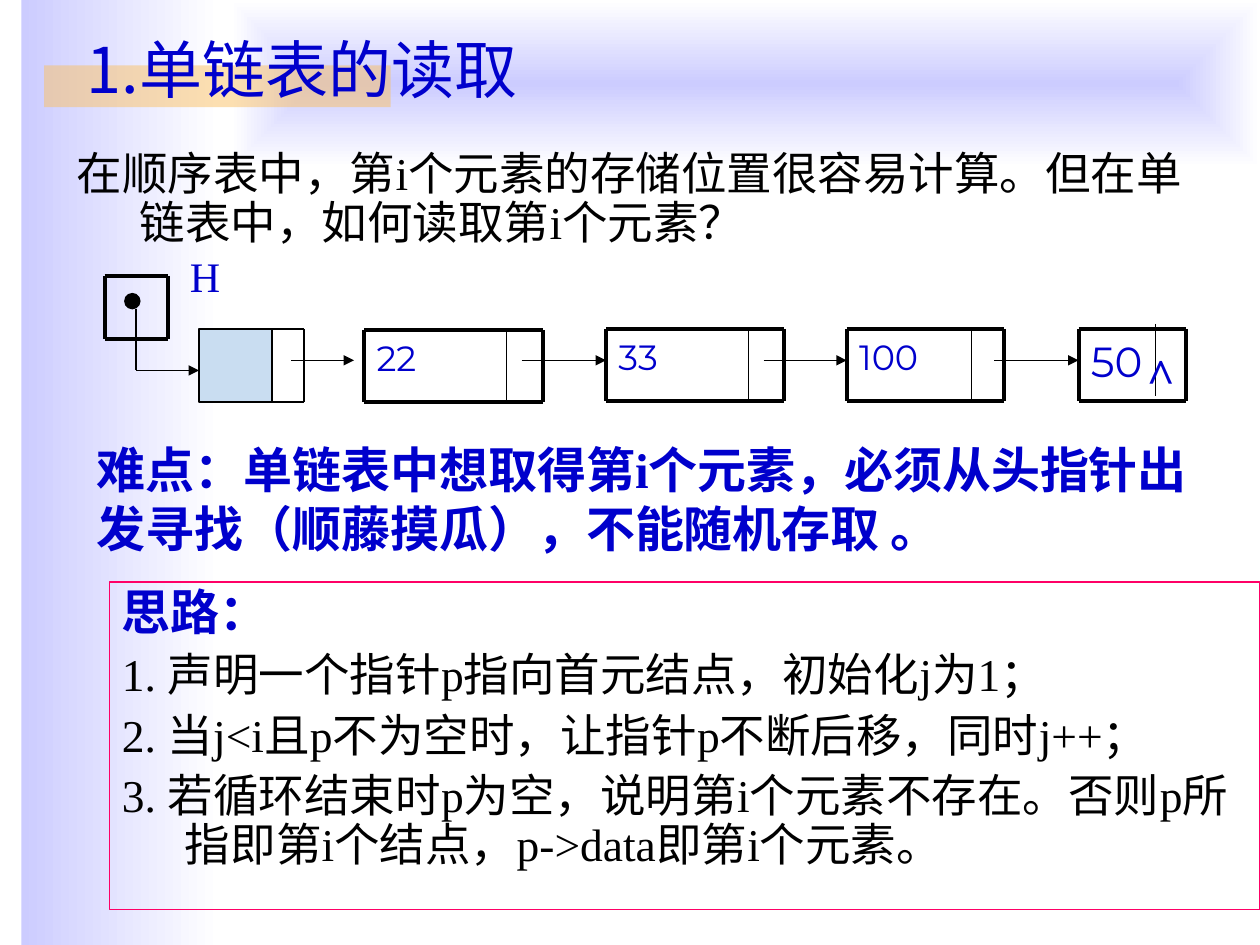
from lxml import etree
from pptx import Presentation
from pptx.dml.color import RGBColor
from pptx.enum import shapes, text
from pptx.oxml.ns import qn
from pptx.util import Inches, Pt

BLUE, BLACK, LAVENDER = "0000CC", "000000", "CCCCFF"
SERIF, SANS, CHINESE = "Times New Roman", "Montserrat", "Noto Sans CJK SC"


def color(value):
    return RGBColor.from_string(value)


def add_shape(slide, kind, box, fill=None, line=None, width=1):
    shape = slide.shapes.add_shape(kind, *map(Inches, box))
    shape.shadow.inherit = False
    if fill:
        shape.fill.solid()
        shape.fill.fore_color.rgb = color(fill)
    else:
        shape.fill.background()
    if line:
        shape.line.color.rgb = color(line)
        shape.line.width = Pt(width)
    else:
        shape.line.fill.background()
    return shape


def add_gradient(slide, box, centered=False):
    shape = add_shape(slide, shapes.MSO_SHAPE.RECTANGLE, box)
    shape.fill.gradient()
    shape.fill.gradient_angle = 0
    for stop, value in zip(shape.fill.gradient_stops, (LAVENDER, "FFFFFF")):
        stop.color.rgb = color(value)
    if centered:
        gradient = shape._element.spPr.find(qn("a:gradFill"))
        gradient.remove(gradient.find(qn("a:lin")))
        shade = etree.SubElement(gradient, qn("a:path"), {"path": "rect"})
        sides = {side: "50000" for side in "ltrb"}
        etree.SubElement(shade, qn("a:fillToRect"), sides)


def add_line(slide, start, end, width=1, arrow=False):
    connector = slide.shapes.add_connector(
        shapes.MSO_CONNECTOR.STRAIGHT, *map(Inches, start + end))
    connector.line.color.rgb = color(BLACK)
    connector.line.width = Pt(width)
    properties = connector._element.spPr
    if arrow:
        etree.SubElement(properties.find(qn("a:ln")), qn("a:tailEnd"), {"type": "triangle"})
    etree.SubElement(properties, qn("a:effectLst"))


def add_frame(slide, left, top, right, bottom, width=2.25):
    corners = [(left, top), (right, top), (right, bottom), (left, bottom)]
    for start, end in zip(corners, corners[1:] + corners[:1]):
        add_line(slide, start, end, width)


def write(frame, lines, size, font=SERIF, value=BLUE, bold=False, hanging=False, first=True):
    for index, content in enumerate(lines):
        new = not (first and index == 0)
        paragraph = frame.add_paragraph() if new else frame.paragraphs[0]
        paragraph.alignment = text.PP_ALIGN.LEFT
        if hanging:
            properties = paragraph._p.get_or_add_pPr()
            properties.set("marL", str(Inches(0.5)))
            properties.set("indent", str(-Inches(0.5)))
            paragraph.line_spacing = 0.9
        if new:
            paragraph.space_before = Pt(6.5)
        run = paragraph.add_run()
        run.text = content
        run.font.size = Pt(size)
        run.font.name = font
        run.font.bold = bold
        run.font.color.rgb = color(value)
        etree.SubElement(run._r.rPr, qn("a:ea"), {"typeface": CHINESE})


def add_text(slide, box, content, size, anchor=text.MSO_ANCHOR.TOP, margin=None, **style):
    frame = slide.shapes.add_textbox(*map(Inches, box)).text_frame
    frame.word_wrap = True
    frame.vertical_anchor = anchor
    if margin is not None:
        frame.margin_left = frame.margin_right = Inches(margin)
        frame.margin_top = frame.margin_bottom = Inches(margin)
    write(frame, [content], size, **style)


def add_node(slide, label, left, top, split, right, size=20, divider_shift=0):
    bottom = top + 0.57
    add_text(slide, (left, top, split - left, 0.57), label, size, font=SANS)
    add_frame(slide, left, top, right, bottom)
    add_line(slide, (split, top + divider_shift), (split, bottom + divider_shift))


def add_background(slide):
    add_gradient(slide, (0.17, 0, 1.58, 7.5))
    add_gradient(slide, (1.83, 0, 8.17, 1.33), centered=True)
    band = add_shape(slide, shapes.MSO_SHAPE.RECTANGLE, (0.35, 0.52, 2.75, 0.33), "FAC164")
    band_color = band._element.spPr.find(qn("a:solidFill"))[0]
    etree.SubElement(band_color, qn("a:alpha"), {"val": "50000"})


def add_linked_list(slide):
    add_shape(slide, shapes.MSO_SHAPE.RECTANGLE, (1.58, 2.61, 0.58, 0.58), "C9DDF1", BLACK)
    add_frame(slide, 2.16, 2.61, 2.41, 3.19, 1)
    add_node(slide, "22", 2.89, 2.62, 4.02, 4.31)
    add_node(slide, "33", 4.81, 2.61, 5.94, 6.22)
    add_node(slide, "100", 6.72, 2.61, 7.71, 7.97)
    add_node(slide, "50", 8.56, 2.61, 9.17, 9.41, size=24, divider_shift=-0.04)
    for start, end in [(2.31, 2.81), (4.14, 4.81), (6.06, 6.72), (7.89, 8.56)]:
        add_line(slide, (start, 2.86), (end, 2.86), 0.75, arrow=True)
    add_frame(slide, 0.83, 2.19, 1.33, 2.69)
    add_line(slide, (1.08, 2.45), (1.08, 2.94), 0.75)
    add_line(slide, (1.08, 2.94), (1.58, 2.94), 0.75, arrow=True)
    add_text(slide, (1.41, 1.94, 0.44, 0.5), "H", 24)
    add_shape(slide, shapes.MSO_SHAPE.OVAL, (0.99, 2.33, 0.12, 0.12), BLACK, BLACK, 0.75)
    add_text(slide, (9.1, 2.73, 0.36, 0.47), "^", 28, text.MSO_ANCHOR.BOTTOM, 0, bold=True)


def add_idea(slide):
    panel = add_shape(slide, shapes.MSO_SHAPE.RECTANGLE, (0.87, 4.62, 9.13, 2.6),
                      line="FF0066", width=0.75)
    frame = panel.text_frame
    frame.word_wrap = True
    frame.vertical_anchor = text.MSO_ANCHOR.TOP
    write(frame, ["思路："], 28, bold=True, hanging=True)
    steps = [
        "1. 声明一个指针p指向首元结点，初始化j为1；",
        "2. 当j<i且p不为空时，让指针p不断后移，同时j++；",
        "3. 若循环结束时p为空，说明第i个元素不存在。否则p所指即第i个结点，p->data即第i个元素。",
    ]
    write(frame, steps, 26, value=BLACK, hanging=True, first=False)


def main():
    presentation = Presentation()
    presentation.slide_width = Inches(10)
    presentation.slide_height = Inches(7.5)
    slide = presentation.slides.add_slide(presentation.slide_layouts[6])
    add_background(slide)
    add_text(slide, (0.59, 0, 9, 0.89), "1.单链表的读取", 36, text.MSO_ANCHOR.BOTTOM, font=CHINESE)
    add_text(slide, (0.51, 1.15, 9.13, 0.94),
             "在顺序表中，第i个元素的存储位置很容易计算。但在单链表中，如何读取第i个元素？",
             26, value=BLACK, hanging=True)
    add_linked_list(slide)
    add_idea(slide)
    add_text(slide, (0.67, 3.44, 9, 1.04),
             "难点：单链表中想取得第i个元素，必须从头指针出发寻找（顺藤摸瓜），不能随机存取 。",
             28, bold=True)
    presentation.save("out.pptx")


if __name__ == "__main__":
    main()
